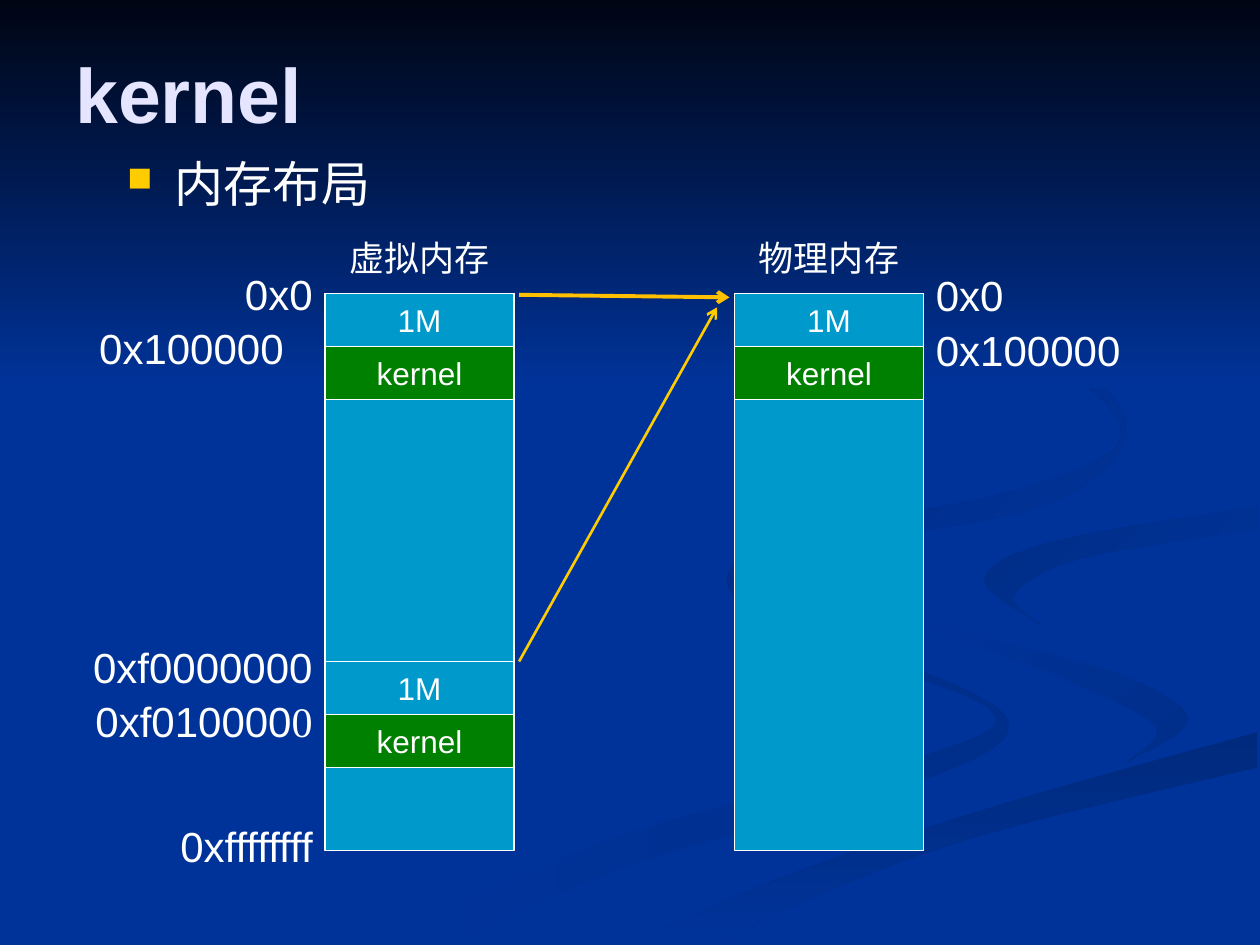
from lxml import etree
from pptx import Presentation
from pptx.dml.color import RGBColor
from pptx.enum import shapes, text
from pptx.oxml import ns
from pptx.util import Inches, Pt

COLORS = {
    "page": "003399", "night": "000514", "title": "E5E5FF", "text": "FFFFFF",
    "memory": "0099CC", "kernel": "008000", "bullet": "FFCC00",
    "first_arrow": "FFC000", "second_arrow": "FFCC00",
    "shade_1": "002E8B", "shade_2": "002A7D", "shade_3": "002D86", "shade_4": "002B82",
}
LEFT, CENTER, RIGHT = text.PP_ALIGN.LEFT, text.PP_ALIGN.CENTER, text.PP_ALIGN.RIGHT
CELL_HEIGHT = 0.42

RIBBONS = [
    (("page", "shade_1"), 0,
     [(5.75, 4.59), (6.14, 4.96), (7.57, 5.43), (8, 5.81), (7.21, 6.23), (4.99, 6.87),
      (3.61, 7.49)],
     [(3, 7.49), (4.99, 6.61), (7.27, 6.02), (7.85, 5.62), (6.11, 4.99), (5.75, 4.59)]),
    (("page", "shade_1"), 45,
     [(7.24, 4.64), (7.58, 4.98), (8.88, 5.35), (9.43, 5.71), (8.94, 6.05)],
     [(8.94, 6.05), (9.17, 5.76), (8.38, 5.36), (7.46, 5), (7.24, 4.64)]),
    (("shade_2", "page"), 90,
     [(5.03, 7.49), (6.3, 6.93), (7.97, 6.38), (9.98, 5.81)],
     [(9.98, 6.09), (7.85, 6.61), (6.49, 7.1), (5.71, 7.49)]),
    (("shade_3", "page"), 45,
     [(9.98, 4.02), (8.35, 4.3), (7.81, 4.6), (8.26, 4.96)],
     [(8.26, 4.96), (8.05, 4.72), (8.59, 4.43), (9.98, 4.2)]),
    (("shade_4", "page"), 45,
     [(7.62, 2.33), (8.43, 2.75), (8.94, 3.44), (8.25, 4.02), (6.49, 4.36), (5.93, 4.7),
      (6.22, 5)],
     [(6.22, 5), (5.77, 4.62), (6.25, 4.26), (8.18, 3.86), (8.89, 3.35), (7.62, 2.33)]),
]


def rgb(name):
    """Return the named colour."""
    return RGBColor.from_string(COLORS[name])


def style_text(para, size, color="text", align=LEFT, font="Arial"):
    """Set the font and alignment of a paragraph."""
    para.alignment = align
    para.font.size, para.font.name = Pt(size), font
    para.font.color.rgb = rgb(color)


def add_text(page, box, words, size, **style):
    """Place a one-line text box and return its frame."""
    frame = page.shapes.add_textbox(*map(Inches, box)).text_frame
    frame.word_wrap = True
    frame.text = words
    style_text(frame.paragraphs[0], size, **style)
    return frame


def smooth_edge(knots, steps=6):
    """Return points on a smooth curve through the knots."""
    padded = [knots[0], *knots, knots[-1]]
    curve = [knots[0]]
    for before, start, end, after in zip(padded, padded[1:], padded[2:], padded[3:]):
        for step in range(1, steps + 1):
            t = step / steps
            curve.append(tuple(
                b + t * ((c - a) + t * ((2 * a - 5 * b + 4 * c - d)
                                        + t * (3 * b - a - 3 * c + d))) / 2
                for a, b, c, d in zip(before, start, end, after)))
    return curve


def fill_gradient(shape, ends, angle):
    """Give an unlined shape a clockwise two-colour gradient."""
    shape.shadow.inherit = False
    shape.line.fill.background()
    shape.fill.gradient()
    shape.fill.gradient_angle = -angle % 360
    for stop, name in zip(shape.fill.gradient_stops, ends):
        stop.color.rgb = rgb(name)


def add_background(page, left, top, width):
    """Draw the dark sky and the shaded ribbons over the page colour."""
    page.background.fill.solid()
    page.background.fill.fore_color.rgb = rgb("page")
    for ends, angle, outer, inner in RIBBONS:
        points = [(Inches(left + x), Inches(top + y))
                  for x, y in smooth_edge(outer) + smooth_edge(inner)]
        builder = page.shapes.build_freeform(*points[0])
        builder.add_line_segments(points[1:], close=True)
        fill_gradient(builder.convert_to_shape(), ends, angle)
    sky = page.shapes.add_shape(shapes.MSO_SHAPE.RECTANGLE,
                                *map(Inches, (left, top, width, 3.08)))
    fill_gradient(sky, ("night", "page"), 90)


def add_heading(page, left, top):
    """Write the title and the bulleted subject below it."""
    title = add_text(page, (left, top, 6.97, 0.87), "kernel", 44, color="title")
    title.vertical_anchor = text.MSO_ANCHOR.MIDDLE
    title.paragraphs[0].font.bold = True
    subject = add_text(page, (left + 0.41, top + 0.87, 4.42, 0.67), "内存布局", 28)
    para = subject.paragraphs[0]
    para.space_before = Pt(7)
    props = para._p.get_or_add_pPr()
    props.set("marL", str(Inches(0.38)))
    props.set("indent", str(Inches(-0.38)))
    color = etree.Element(ns.qn("a:buClr"))
    etree.SubElement(color, ns.qn("a:srgbClr"), val=COLORS["bullet"])
    size = etree.Element(ns.qn("a:buSzPct"), val="70000")
    mark = etree.Element(ns.qn("a:buChar"), char="■")
    place = props.index(props.find(ns.qn("a:spcBef"))) + 1
    props[place:place] = [color, size, mark]


def add_block(page, box, color, words=""):
    """Draw one outlined stretch of memory."""
    block = page.shapes.add_shape(shapes.MSO_SHAPE.RECTANGLE, *map(Inches, box))
    block.shadow.inherit = False
    block.fill.solid()
    block.fill.fore_color.rgb = rgb(color)
    block.line.color.rgb = rgb("text")
    block.line.width = Pt(0.75)
    if words:
        frame = block.text_frame
        frame.word_wrap = False
        frame.vertical_anchor = text.MSO_ANCHOR.MIDDLE
        frame.text = words
        style_text(frame.paragraphs[0], 18, align=CENTER)


def add_memory(page, box, name, starts):
    """Draw a memory column with its name and a 1M and kernel pair at each start."""
    left, top, width, height = box
    add_block(page, box, "memory")
    add_text(page, (left, top - 0.5, width, 0.44), name, 20,
             align=CENTER, font="Times New Roman")
    for start in starts:
        for row, (color, words) in enumerate([("memory", "1M"), ("kernel", "kernel")]):
            cell_top = top + start + row * CELL_HEIGHT
            add_block(page, (left, cell_top, width, CELL_HEIGHT), color, words)


def add_addresses(page, left, top, width, align, addresses):
    """Write addresses, each a drop from the top, a sideways shift and its words."""
    for drop, shift, words in addresses:
        add_text(page, (left + shift, top + drop, width, 0.5), words, 24, align=align)


def add_arrow(page, start, end, color, width):
    """Draw a line with an open arrowhead at its end."""
    arrow = page.shapes.add_connector(shapes.MSO_CONNECTOR.STRAIGHT,
                                      *map(Inches, start + end))
    arrow.line.color.rgb = rgb(color)
    arrow.line.width = Pt(width)
    outline = arrow._element.spPr.find(ns.qn("a:ln"))
    etree.SubElement(outline, ns.qn("a:tailEnd"), type="arrow")
    etree.SubElement(arrow._element.spPr, ns.qn("a:effectLst"))


def add_layout(page, left, top):
    """Draw virtual and physical memory with addresses and mappings."""
    width, height, gap = 1.5, 4.42, 1.75
    physical = left + width + gap
    add_memory(page, (left, top, width, height), "虚拟内存", [0, 2.92])
    add_memory(page, (physical, top, width, height), "物理内存", [0])
    add_addresses(page, left - 2.43, top, 2.43, RIGHT, [
        (-0.25, 0, "0x0"), (0.18, -0.23, "0x100000"), (2.71, 0, "0xf0000000"),
        (4.13, 0, "0xffffffff")])
    add_addresses(page, physical + width, top, 2.13, LEFT, [
        (-0.24, 0, "0x0"), (0.2, 0, "0x100000")])
    frame = add_text(page, (left - 2.43, top + 3.14, 2.43, 0.5), "0xf010000", 24, align=RIGHT)
    digit = frame.paragraphs[0].add_run()
    digit.text, digit.font.name = "0", "Times New Roman"
    edge = left + width + 0.04
    add_arrow(page, (edge, top + 0.01), (physical - 0.04, top + 0.03), "first_arrow", 2.25)
    add_arrow(page, (edge, top + 2.92), (physical - 0.14, top + 0.11), "second_arrow", 1.5)


def main():
    """Build the slide and save it."""
    deck = Presentation()
    deck.slide_width, deck.slide_height = Inches(10), Inches(7.5)
    page = deck.slides.add_slide(deck.slide_layouts[6])
    add_background(page, 0, 0, 10)
    add_heading(page, 0.5, 0.3)
    add_layout(page, 2.58, 2.33)
    deck.save("out.pptx")


if __name__ == "__main__":
    main()
